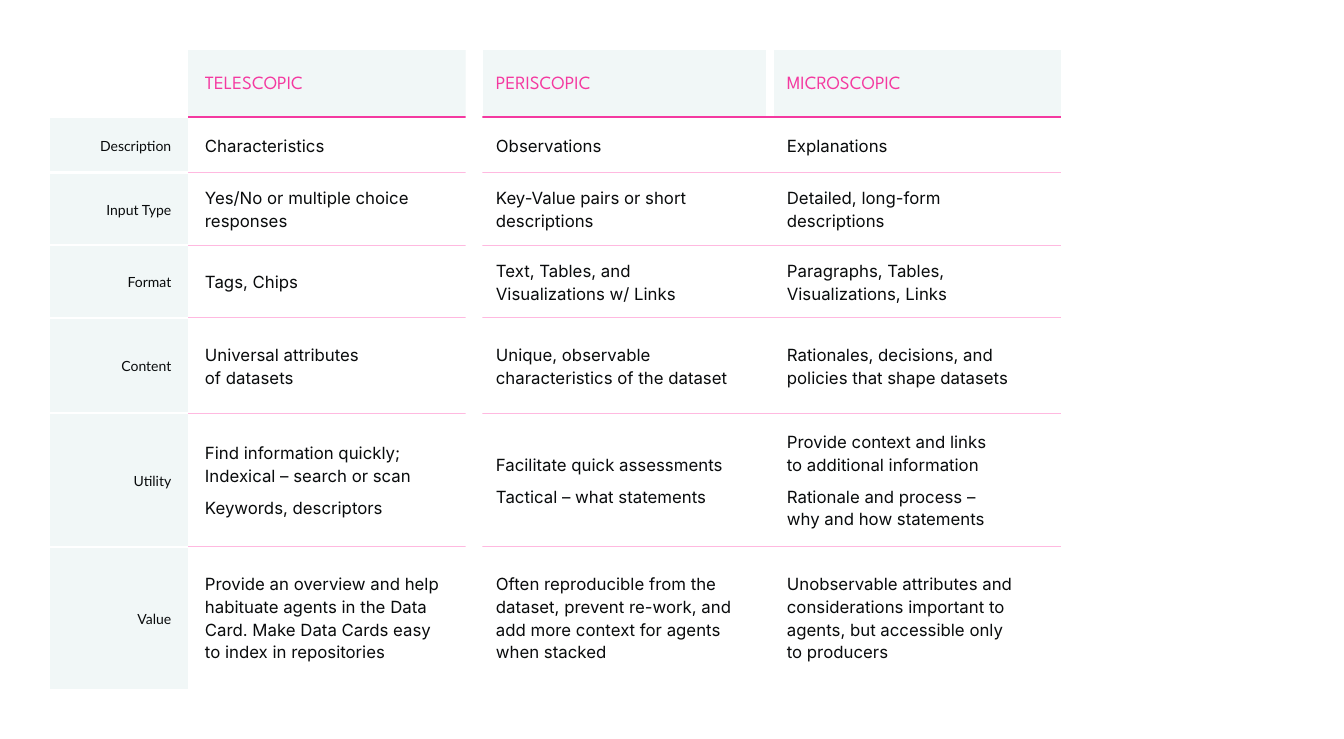
from dataclasses import dataclass

from lxml.etree import SubElement
from pptx import Presentation
from pptx.dml.color import RGBColor
from pptx.enum.shapes import MSO_SHAPE
from pptx.enum.text import MSO_ANCHOR, PP_ALIGN
from pptx.oxml.ns import qn
from pptx.util import Inches, Pt

# Content: each cell holds one or more paragraphs
HEADINGS = ["TELESCOPIC", "PERISCOPIC", "MICROSCOPIC"]
ROWS = [
    ("Description", ["Characteristics"], ["Observations"], ["Explanations"]),
    ("Input Type",
     ["Yes/No or multiple choice responses"],
     ["Key-Value pairs or short descriptions"],
     ["Detailed, long-form descriptions"]),
    ("Format",
     ["Tags, Chips"],
     ["Text, Tables, and Visualizations w/ Links"],
     ["Paragraphs, Tables, Visualizations, Links"]),
    ("Content",
     ["Universal attributes\nof datasets"],
     ["Unique, observable characteristics of the dataset"],
     ["Rationales, decisions, and policies that shape datasets"]),
    ("Utility",
     ["Find information quickly; Indexical – search or scan", "Keywords, descriptors"],
     ["Facilitate quick assessments", "Tactical – what statements"],
     ["Provide context and links\nto additional information",
      "Rationale and process –\nwhy and how statements"]),
    ("Value",
     ["Provide an overview and help habituate agents in the Data Card. "
      "Make Data Cards easy to index in repositories"],
     ["Often reproducible from the dataset, prevent re-work, and add more "
      "context for agents when stacked"],
     ["Unobservable attributes and considerations important to agents, "
      "but accessible only\nto producers"]),
]


# Theme
@dataclass(frozen=True)
class Theme:
    white: str = "FFFFFF"
    tint: str = "F1F7F7"
    accent: str = "F439A0"
    rule: str = "FFB9E0"
    ink: str = "090B0C"
    line_spacing: float = 1.12
    table_style: str = "{2D5ABB26-0587-4C30-8999-92F81FD0307C}"


THEME = Theme()
STYLES = {
    "heading": dict(font="League Spartan", size=20, color=THEME.accent, fill=THEME.tint,
                    align=PP_ALIGN.LEFT, after=0, insets=(0.25, 0, 0.25, 0)),
    "label": dict(font="Lato", size=15, color=THEME.ink, fill=THEME.tint,
                  align=PP_ALIGN.RIGHT, after=0, insets=(0.05, 0.05, 0.25, 0.05)),
    "body": dict(font="Inter", size=18, color=THEME.ink, fill=None,
                 align=PP_ALIGN.LEFT, after=10, insets=(0.25, 0, 0.5, 0)),
}

# Grid in inches
PAGE_WIDTH, PAGE_HEIGHT = 20, 11
MARGIN = 0.75
COLUMN_WIDTHS = [2.05] + [4.33] * len(HEADINGS)
ROW_HEIGHTS = [0.99, 0.83, 1.08, 1.08, 1.42, 1.99, 2.11]
GAP_WIDTH = 0.25
GAP_TOP = 0.5
LAST_ROW, LAST_COLUMN = len(ROW_HEIGHTS) - 1, len(COLUMN_WIDTHS) - 1


def rule_below(row, column):
    """Border between a row and the next one."""
    if row == LAST_ROW:
        return None
    if column == 0:
        return THEME.white, 3
    return (THEME.accent, 3) if row == 0 else (THEME.rule, 1.5)


def cell_borders(row, column):
    gutter = (THEME.white, 9)
    return {
        "a:lnL": gutter if column > 1 else None,
        "a:lnR": gutter if 0 < column < LAST_COLUMN else None,
        "a:lnT": rule_below(row - 1, column) if row else None,
        "a:lnB": rule_below(row, column),
    }


def draw_borders(cell, borders):
    properties = cell._tc.get_or_add_tcPr()
    for position, (tag, border) in enumerate(borders.items()):
        line = SubElement(properties, qn(tag))
        properties.insert(position, line)
        if border is None:
            line.set("w", "0")
            SubElement(line, qn("a:noFill"))
            continue
        color, width = border
        line.set("w", str(Pt(width)))
        SubElement(SubElement(line, qn("a:solidFill")), qn("a:srgbClr")).set("val", color)


def fill_cell(cell, paragraphs, style):
    sides = ("margin_left", "margin_top", "margin_right", "margin_bottom")
    for side, inset in zip(sides, style["insets"]):
        setattr(cell, side, Inches(inset))
    cell.vertical_anchor = MSO_ANCHOR.MIDDLE
    if style["fill"]:
        cell.fill.solid()
        cell.fill.fore_color.rgb = RGBColor.from_string(style["fill"])
    else:
        cell.fill.background()
    para_format = dict(alignment=style["align"], line_spacing=THEME.line_spacing,
                       space_before=Pt(0), space_after=Pt(style["after"]))
    font_format = dict(name=style["font"], size=Pt(style["size"]))
    frame = cell.text_frame
    for index, words in enumerate(paragraphs):
        para = frame.add_paragraph() if index else frame.paragraphs[0]
        para.text = words
        for name, value in para_format.items():
            setattr(para, name, value)
        for span in para.runs:
            for name, value in font_format.items():
                setattr(span.font, name, value)
            span.font.color.rgb = RGBColor.from_string(style["color"])


def add_comparison(page):
    table = page.shapes.add_table(
        len(ROW_HEIGHTS), len(COLUMN_WIDTHS), Inches(MARGIN), Inches(MARGIN),
        Inches(sum(COLUMN_WIDTHS)), Inches(sum(ROW_HEIGHTS))).table
    table.first_row = table.horz_banding = False
    table._tbl.tblPr.find(qn("a:tableStyleId")).text = THEME.table_style
    for column, width in zip(table.columns, COLUMN_WIDTHS):
        column.width = Inches(width)
    for row, height in zip(table.rows, ROW_HEIGHTS):
        row.height = Inches(height)

    # Headings, labels and body cells
    for column, heading in enumerate(HEADINGS, 1):
        fill_cell(table.cell(0, column), [heading], STYLES["heading"])
    for row, (label, *entries) in enumerate(ROWS, 1):
        fill_cell(table.cell(row, 0), [label], STYLES["label"])
        for column, paragraphs in enumerate(entries, 1):
            fill_cell(table.cell(row, column), paragraphs, STYLES["body"])
    table.cell(0, 0).fill.background()

    # Rules and gutters
    for row in range(len(ROW_HEIGHTS)):
        for column in range(len(COLUMN_WIDTHS)):
            draw_borders(table.cell(row, column), cell_borders(row, column))


def add_column_gap(page):
    """White strip that sets the first column apart from the other two."""
    right = MARGIN + sum(COLUMN_WIDTHS[:2]) + 0.05
    strip = page.shapes.add_shape(
        MSO_SHAPE.RECTANGLE, Inches(right - GAP_WIDTH), Inches(GAP_TOP),
        Inches(GAP_WIDTH), Inches(PAGE_HEIGHT - 2 * GAP_TOP))
    strip.shadow.inherit = False
    strip.fill.solid()
    strip.fill.fore_color.rgb = RGBColor.from_string(THEME.white)
    strip.line.fill.background()


def main():
    deck = Presentation()
    deck.slide_width, deck.slide_height = Inches(PAGE_WIDTH), Inches(PAGE_HEIGHT)
    page = deck.slides.add_slide(deck.slide_layouts[6])
    add_comparison(page)
    add_column_gap(page)
    deck.save("out.pptx")


if __name__ == "__main__":
    main()
